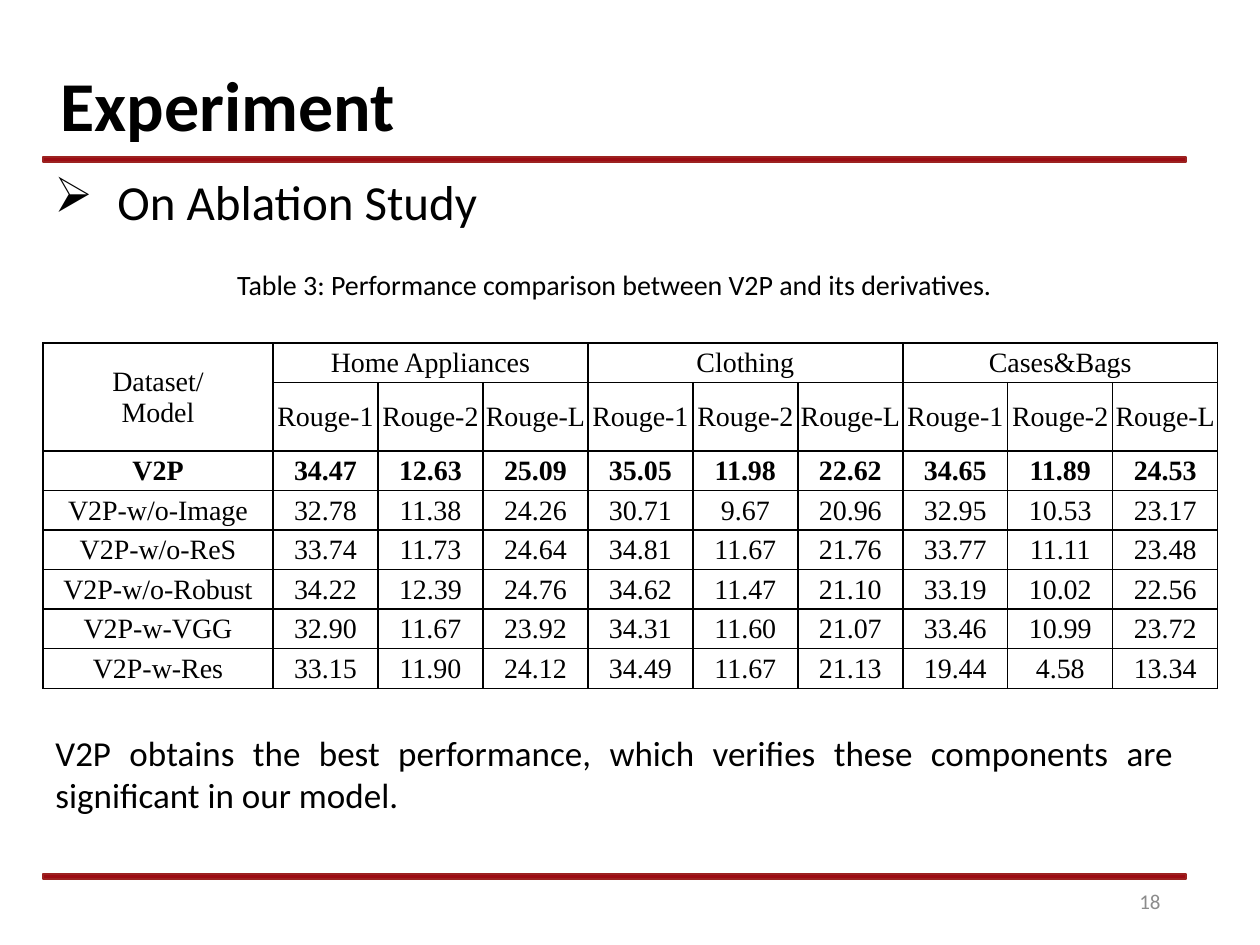
from dataclasses import dataclass

from lxml import etree
from pptx import Presentation
from pptx.dml.color import RGBColor
from pptx.enum.shapes import MSO_SHAPE
from pptx.enum.text import MSO_ANCHOR, PP_ALIGN
from pptx.oxml.ns import qn
from pptx.util import Emu, Pt

RECTANGLE = MSO_SHAPE.RECTANGLE
TOP, MIDDLE = MSO_ANCHOR.TOP, MSO_ANCHOR.MIDDLE
CENTER, RIGHT, JUSTIFY = PP_ALIGN.CENTER, PP_ALIGN.RIGHT, PP_ALIGN.JUSTIFY
EMU_PER_PX = 914400 / 126


@dataclass(frozen=True)
class Theme:
    body_font: str = "Calibri"
    table_font: str = "Times New Roman"
    black: str = "000000"
    grey: str = "8C8C8C"
    rule_fill: str = "9C0C13"
    rule_line: str = "9C2220"
    title_size: int = 40
    heading_size: int = 28
    body_size: int = 20
    table_size: int = 16
    number_size: int = 12


THEME = Theme()

METRICS = ["Rouge-1", "Rouge-2", "Rouge-L"]
DATASETS = ["Home Appliances", "Clothing", "Cases&Bags"]
BEST_MODEL = "V2P"
RESULTS = [
    ("V2P", "34.47 12.63 25.09 35.05 11.98 22.62 34.65 11.89 24.53"),
    ("V2P-w/o-Image", "32.78 11.38 24.26 30.71 9.67 20.96 32.95 10.53 23.17"),
    ("V2P-w/o-ReS", "33.74 11.73 24.64 34.81 11.67 21.76 33.77 11.11 23.48"),
    ("V2P-w/o-Robust", "34.22 12.39 24.76 34.62 11.47 21.10 33.19 10.02 22.56"),
    ("V2P-w-VGG", "32.90 11.67 23.92 34.31 11.60 21.07 33.46 10.99 23.72"),
    ("V2P-w-Res", "33.15 11.90 24.12 34.49 11.67 21.13 19.44 4.58 13.34"),
]


def px(length):
    return Emu(round(length * EMU_PER_PX))


def color(value):
    return RGBColor.from_string(value)


def add_run(paragraph, text, size, font=THEME.body_font, fill=THEME.black, bold=False):
    run = paragraph.add_run()
    run.text = text
    run.font.name = font
    run.font.size = Pt(size)
    run.font.bold = bold
    run.font.color.rgb = color(fill)


def add_text(slide, box, text, size, align, anchor=TOP, fill=THEME.black, bold=False):
    """Add a one-paragraph text box and return its paragraph."""
    frame = slide.shapes.add_textbox(*map(px, box)).text_frame
    frame.word_wrap = True
    frame.vertical_anchor = anchor
    paragraph = frame.paragraphs[0]
    paragraph.alignment = align
    add_run(paragraph, text, size, fill=fill, bold=bold)
    return paragraph


def set_indent(paragraph, left, first_line=0):
    properties = paragraph._p.get_or_add_pPr()
    properties.set("marL", str(px(left)))
    properties.set("indent", str(px(first_line)))
    return properties


def add_rule(slide, top):
    rule = slide.shapes.add_shape(RECTANGLE, px(43), px(top), px(1143), px(5))
    rule.shadow.inherit = False
    rule.fill.solid()
    rule.fill.fore_color.rgb = color(THEME.rule_fill)
    rule.line.color.rgb = color(THEME.rule_line)
    rule.line.width = Pt(1)


def add_borders(cell):
    properties = cell._tc.get_or_add_tcPr()
    for side in ("lnL", "lnR", "lnT", "lnB"):
        line = etree.SubElement(properties, qn(f"a:{side}"), w=str(Pt(1)))
        fill = etree.SubElement(line, qn("a:solidFill"))
        etree.SubElement(fill, qn("a:srgbClr"), val=THEME.black)


def style_cell(cell):
    add_borders(cell)
    cell.fill.background()
    cell.vertical_anchor = MIDDLE
    cell.margin_left = cell.margin_right = cell.margin_top = px(1)
    cell.margin_bottom = 0


def write_cell(cell, *lines, bold=False):
    frame = cell.text_frame
    for index, text in enumerate(lines):
        paragraph = frame.add_paragraph() if index else frame.paragraphs[0]
        paragraph.alignment = CENTER
        add_run(paragraph, text, THEME.table_size, THEME.table_font, bold=bold)


def add_results_table(slide):
    row_count = len(RESULTS) + 2
    column_count = 1 + len(DATASETS) * len(METRICS)
    table = slide.shapes.add_table(
        row_count, column_count, px(43), px(343), px(1175), px(317)
    ).table
    table.first_row = table.horz_banding = False
    for index, column in enumerate(table.columns):
        column.width = px(105 if index else 230)
    for cell in table.iter_cells():
        style_cell(cell)

    table.cell(0, 0).merge(table.cell(1, 0))
    write_cell(table.cell(0, 0), "Dataset/", "Model")
    for index, dataset in enumerate(DATASETS):
        first = 1 + index * len(METRICS)
        table.cell(0, first).merge(table.cell(0, first + len(METRICS) - 1))
        write_cell(table.cell(0, first), dataset)
        for offset, metric in enumerate(METRICS):
            write_cell(table.cell(1, first + offset), metric)
    for row, (model, scores) in enumerate(RESULTS, start=2):
        for column, text in enumerate([model, *scores.split()]):
            write_cell(table.cell(row, column), text, bold=model == BEST_MODEL)


def main():
    presentation = Presentation()
    presentation.slide_width, presentation.slide_height = px(1260), px(945)
    slide = presentation.slides.add_slide(presentation.slide_layouts[6])

    add_rule(slide, 157)
    title = add_text(slide, (42, 55, 539, 97), "Experiment",
                     THEME.title_size, JUSTIFY, bold=True)
    set_indent(title, 6)
    title.space_after = Pt(9)
    add_text(slide, (890, 876, 283, 50), "18", THEME.number_size, RIGHT,
             anchor=MIDDLE, fill=THEME.grey)
    add_rule(slide, 874)

    heading = add_text(slide, (42, 165, 1144, 72), "On Ablation Study",
                       THEME.heading_size, JUSTIFY)
    bullet_properties = set_indent(heading, 63, -63)
    etree.SubElement(bullet_properties, qn("a:buChar"), char="➢")

    add_text(slide, (100, 261, 1029, 47),
             "Table 3: Performance comparison between V2P and its derivatives.",
             THEME.table_size, CENTER)
    add_text(slide, (43, 725, 1143, 97),
             "V2P obtains the best performance, which verifies these components "
             "are significant in our model.",
             THEME.body_size, JUSTIFY)
    add_results_table(slide)
    presentation.save("out.pptx")


if __name__ == "__main__":
    main()
